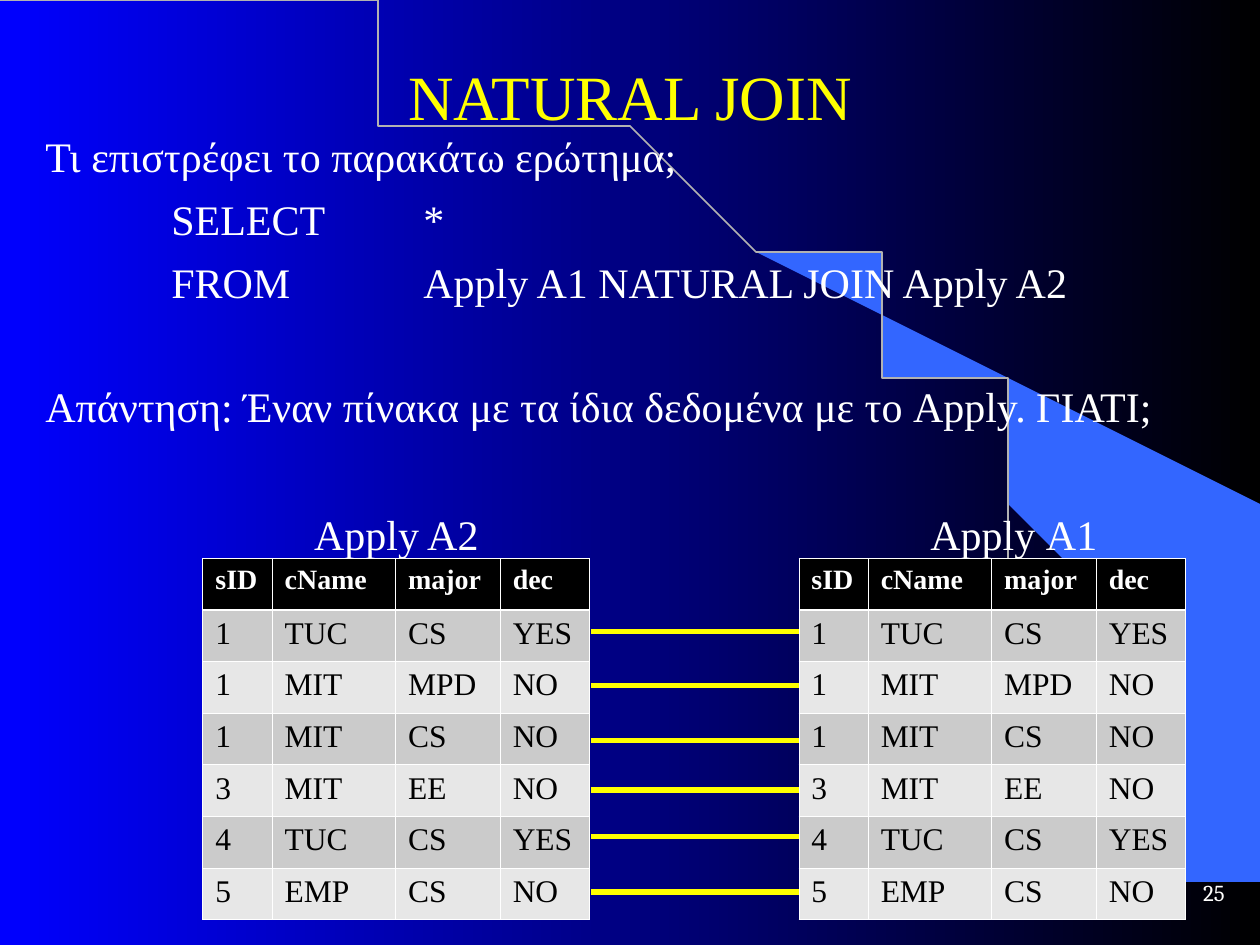
from math import cos, pi, sin

from lxml.etree import SubElement
from pptx import Presentation
from pptx.dml.color import RGBColor
from pptx.enum.shapes import MSO_CONNECTOR
from pptx.enum.text import MSO_ANCHOR, PP_ALIGN
from pptx.oxml import parse_xml
from pptx.oxml.ns import nsdecls, qn
from pptx.util import Inches, Pt

COLORS = {
    "blue": "0000FF", "black": "000000", "wedge": "3366FF", "arc": "B2B2B2",
    "white": "FFFFFF", "yellow": "FFFF00", "odd": "CBCBCB", "even": "E7E7E7",
}
SERIF = "Times New Roman"

# Content
TITLE = "NATURAL JOIN"
QUERY = [  # text, space before in points
    ("Τι επιστρέφει το παρακάτω ερώτημα;", 0),
    ("\tSELECT\t*", 7.2),
    ("\tFROM\tApply A1 NATURAL JOIN Apply A2", 7.2),
    ("Απάντηση: Έναν πίνακα με τα ίδια δεδομένα με το Apply. ΓΙΑΤΙ;", 42),
]
QUERY_TABS = [1, 3]
APPLY_ROWS = [
    ("sID", "cName", "major", "dec"),
    ("1", "TUC", "CS", "YES"),
    ("1", "MIT", "MPD", "NO"),
    ("1", "ΜΙΤ", "CS", "NO"),
    ("3", "MIT", "EE", "NO"),
    ("4", "TUC", "CS", "YES"),
    ("5", "EMP", "CS", "NO"),
]
TABLE_LABELS = [("Apply", 7.05, 1.5), ("Apply A2", 2.32, 1.65), ("A1", 8.15, 0.71)]
PAGE_NUMBER = "25"

# Geometry in inches
TABLE_LEFTS = [6.34, 1.61]
TABLE_TOP = 4.43
COLUMN_WIDTHS = [0.55, 0.98, 0.83, 0.71]
ROW_HEIGHT = 0.41
JOIN_LINES = [5.01, 5.44, 5.88, 6.27, 6.64, 7.08]
ARC_WIDTH, ARC_HEIGHT, ARC_STEPS = 9.2, 7.49, 90
WEDGE = [
    (9.2, 7.48), (9.99, 7.49), (9.99, 4.23), (5.89, 1.73), (6.24, 1.99),
    (6.53, 2.22), (6.85, 2.5), (7.16, 2.8), (7.62, 3.3), (8.03, 3.84),
    (8.32, 4.31), (8.58, 4.79), (8.78, 5.28), (8.93, 5.72), (9.03, 6.09),
    (9.13, 6.56), (9.17, 6.96),
]


def color(name):
    return RGBColor.from_string(COLORS[name])


def style(para, size, tint="white", face=SERIF, bold=False):
    para.font.size = Pt(size)
    para.font.name = face
    para.font.bold = bold
    para.font.color.rgb = color(tint)


def add_text(page, text, left, top, width, height, size, tint="white",
             face=SERIF, align=PP_ALIGN.CENTER, anchor=MSO_ANCHOR.TOP):
    box = page.shapes.add_textbox(*map(Inches, (left, top, width, height)))
    frame = box.text_frame
    frame.word_wrap = True
    frame.vertical_anchor = anchor
    frame.margin_left = frame.margin_right = Inches(0.09)
    para = frame.paragraphs[0]
    para.text = text
    para.alignment = align
    style(para, size, tint, face)


def add_outline(page, points, close):
    builder = page.shapes.build_freeform(
        *points[0], scale=float(Inches(1)))
    builder.add_line_segments(points[1:], close=close)
    shape = builder.convert_to_shape()
    shape.shadow.inherit = False
    return shape


def add_query(page):
    box = page.shapes.add_textbox(*map(Inches, (0.27, 0.99, 9.14, 4.5)))
    frame = box.text_frame
    frame.word_wrap = True
    frame.margin_left = frame.margin_right = Inches(0.09)
    for index, (text, space) in enumerate(QUERY):
        para = frame.add_paragraph() if index else frame.paragraphs[0]
        para.text = text
        para.space_before = Pt(space)
        tabs = SubElement(para._p.get_or_add_pPr(), qn("a:tabLst"))
        for stop in QUERY_TABS:
            SubElement(tabs, qn("a:tab"), pos=str(Inches(stop)), algn="l")
        style(para, 24)


def set_borders(cell, row):
    widths = {"L": 0.45, "R": 0.45,
              "T": 1.47 if row == 1 else 0.45, "B": 1.47 if row == 0 else 0.45}
    properties = cell._tc.get_or_add_tcPr()
    for index, (side, width) in enumerate(widths.items()):
        properties.insert(index, parse_xml(
            f'<a:ln{side} {nsdecls("a")} w="{Pt(width)}"><a:solidFill>'
            f'<a:srgbClr val="{COLORS["white"]}"/></a:solidFill></a:ln{side}>'))


def add_apply_table(page, left):
    table = page.shapes.add_table(
        len(APPLY_ROWS), len(COLUMN_WIDTHS), Inches(left), Inches(TABLE_TOP),
        Inches(sum(COLUMN_WIDTHS)), Inches(ROW_HEIGHT * len(APPLY_ROWS))).table
    for column, width in zip(table.columns, COLUMN_WIDTHS):
        column.width = Inches(width)
    for row, values in enumerate(APPLY_ROWS):
        table.rows[row].height = Inches(ROW_HEIGHT)
        header = row == 0
        fill = "black" if header else ("odd" if row % 2 else "even")
        for column, value in enumerate(values):
            cell = table.cell(row, column)
            cell.text = value
            cell.fill.solid()
            cell.fill.fore_color.rgb = color(fill)
            style(cell.text_frame.paragraphs[0], 16 if header else 18,
                  "white" if header else "black", bold=header)
            set_borders(cell, row)


def main():
    deck = Presentation()
    deck.slide_width, deck.slide_height = Inches(10), Inches(7.5)
    page = deck.slides.add_slide(deck.slide_layouts[6])

    # Background gradient, wedge and arc
    backdrop = page.background.fill
    backdrop.gradient()
    backdrop.gradient_angle = 0
    for stop, name, position in zip(
            backdrop.gradient_stops, ("blue", "black"), (0, 1)):
        stop.color.rgb = color(name)
        stop.position = position
    wedge = add_outline(page, WEDGE, close=True)
    wedge.fill.solid()
    wedge.fill.fore_color.rgb = color("wedge")
    wedge.line.fill.background()
    angles = [pi / 2 * step / ARC_STEPS for step in range(ARC_STEPS + 1)]
    arc = add_outline(page, [(ARC_WIDTH * sin(angle), ARC_HEIGHT * (1 - cos(angle)))
                             for angle in angles], close=False)
    arc.fill.background()
    arc.line.color.rgb = color("arc")
    arc.line.width = Pt(1)

    # Page number, title and query
    add_text(page, PAGE_NUMBER, 9.25, 6.83, 0.56, 0.5, 13, face="Cambria",
             align=PP_ALIGN.RIGHT, anchor=MSO_ANCHOR.MIDDLE)
    add_text(page, TITLE, 0.75, 0.13, 8.5, 1.25, 36, "yellow",
             anchor=MSO_ANCHOR.MIDDLE)
    add_query(page)

    # Labelled tables
    for text, left, width in TABLE_LABELS:
        add_text(page, text, left, 3.99, width, 0.5, 24)
    for left in TABLE_LEFTS:
        add_apply_table(page, left)

    # Lines joining equal rows
    for y in JOIN_LINES:
        line = page.shapes.add_connector(
            MSO_CONNECTOR.STRAIGHT, *map(Inches, (4.69, y, 6.34, y)))
        line.line.color.rgb = color("yellow")
        line.line.width = Pt(3)
        SubElement(line._element.spPr, qn("a:effectLst"))

    deck.save("out.pptx")


if __name__ == "__main__":
    main()
